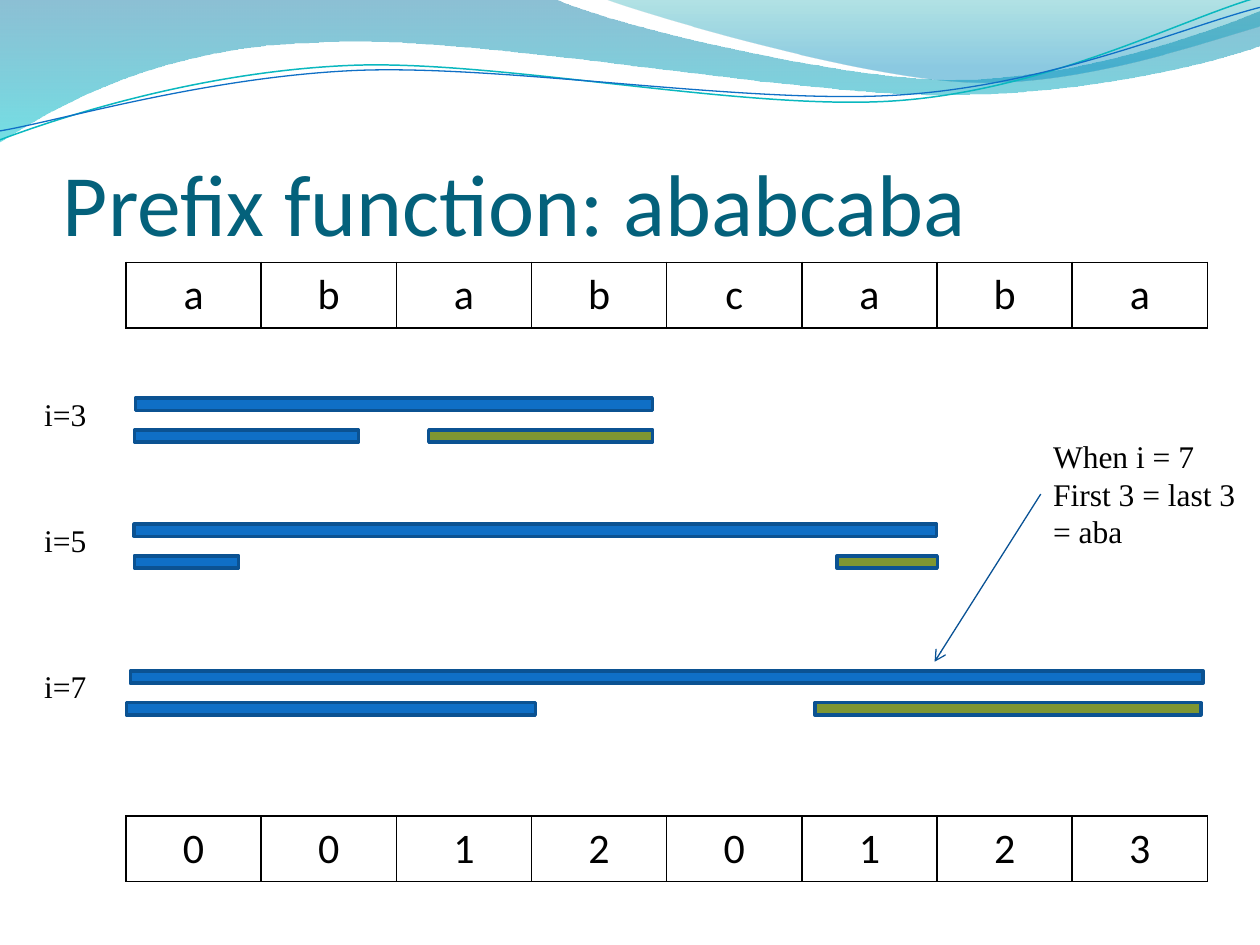
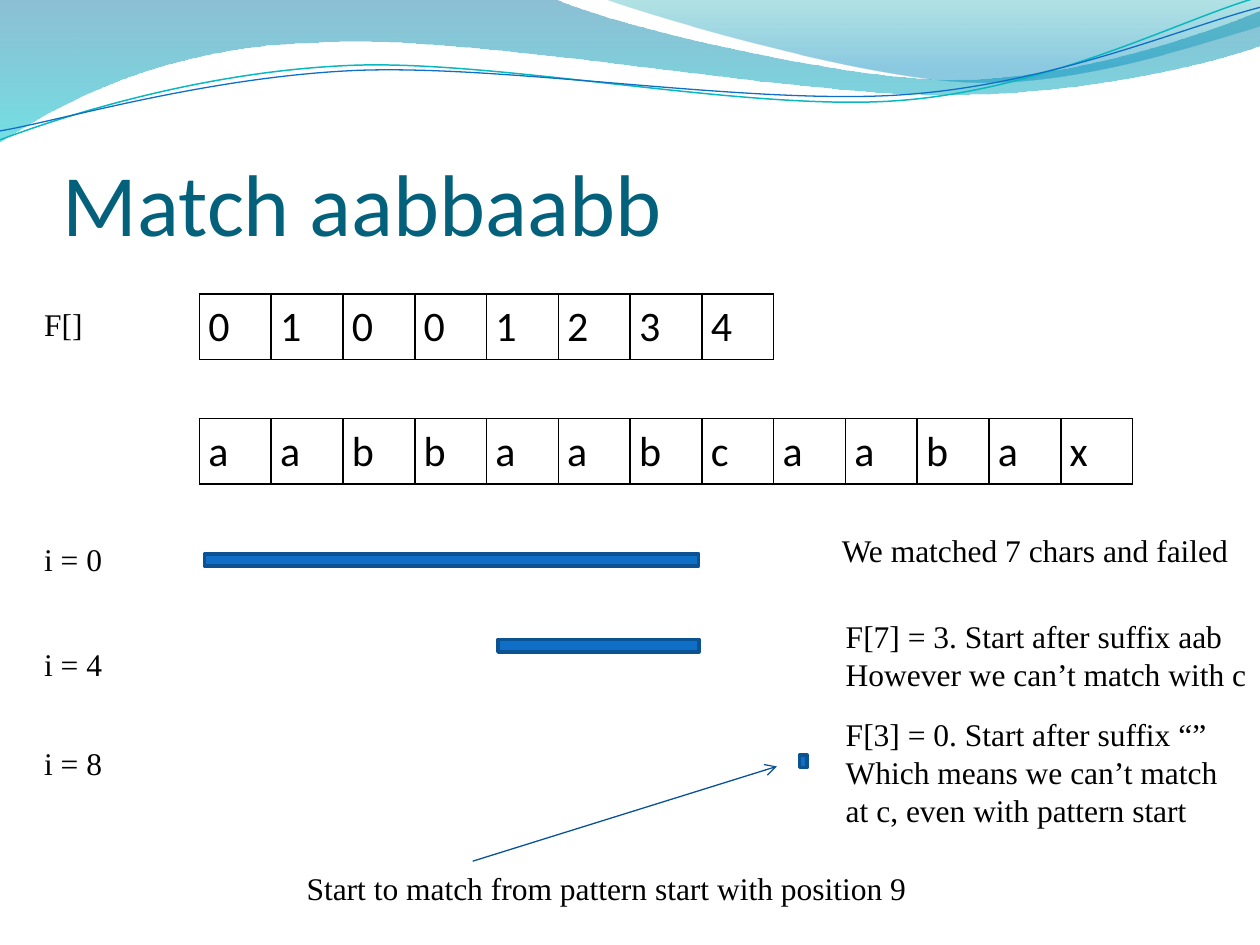
from lxml import etree
from pptx import Presentation
from pptx.dml.color import RGBColor
from pptx.enum.shapes import MSO_CONNECTOR, MSO_SHAPE
from pptx.enum.text import MSO_ANCHOR, MSO_AUTO_SIZE, PP_ALIGN
from pptx.oxml.ns import qn
from pptx.util import Cm, Pt

STRAIGHT = MSO_CONNECTOR.STRAIGHT
MINUS = MSO_SHAPE.MATH_MINUS
TOP, BOTTOM = MSO_ANCHOR.TOP, MSO_ANCHOR.BOTTOM
GROW, FIXED = MSO_AUTO_SIZE.SHAPE_TO_FIT_TEXT, MSO_AUTO_SIZE.NONE
LEFT, CENTER = PP_ALIGN.LEFT, PP_ALIGN.CENTER
LEFT_SIDE = 1

COLORS = {
    "title": "04617B", "text": "000000", "bar": "0F6FC6", "suffix": "7E9632",
    "outline": "0B5292", "arrow": "095295", "teal": "0AB8BF",
    "deep": "0074A1", "aqua": "00C6CF", "sea": "00A1A9", "sky": "008BBF",
}
FONTS = {
    "title": {"name": "Calibri", "size": Pt(50)},
    "cell": {"name": "Calibri", "size": Pt(24)},
    "body": {"name": "Times New Roman", "size": Pt(18)},
}
TITLE_FRAME = {"word_wrap": True, "vertical_anchor": BOTTOM, "auto_size": FIXED,
               "margin_left": 0, "margin_right": 0, "margin_top": Cm(0.13), "margin_bottom": 0}
CELL_FRAME = {"margin_left": Cm(0.18), "margin_right": Cm(0.18), "margin_top": 0,
              "margin_bottom": 0, "vertical_anchor": TOP}

BANDS = [
    ([(0, 0), (11.18, -0.02),
      (12.09, 0.43, 16.87, 1.6, 19.25, 1.6), (21.67, 1.6, 24.33, 0.66, 25.4, 0.23),
      (25.43, 0.91),
      (24.97, 1.12, 22.1, 1.93, 18.95, 1.91), (15.8, 1.91, 9.7, 0.71, 6.53, 0.86),
      (3.28, 0.91, 1.17, 2.11, -0.02, 2.87)],
     [(0, "deep", 45), (1, "aqua", 55)]),
    ([(12.17, -0.02), (12.93, 0.28, 17.32, 1.57, 19.53, 1.65),
      (21.74, 1.75, 24.41, 0.81, 25.4, 0.53), (25.4, 0)],
     [(0, "sea", 30), (0.8, "sky", 45)]),
]
WAVES = [
    ([(0, 2.82), (1.22, 2.36, 4.01, 1.45, 7.04, 1.32),
      (10.03, 1.19, 15.06, 2.26, 18.11, 2.03), (21.16, 1.8, 23.83, 0.38, 25.35, -0.05)],
     "teal", 0.85),
    ([(0, 2.64), (1.19, 2.44, 4.17, 1.55, 7.19, 1.42),
      (10.24, 1.3, 15.16, 2.13, 18.21, 1.91), (21.23, 1.7, 23.9, 0.53, 25.4, 0.15)],
     "bar", 0.75),
]

LABEL_X, LINE_H, BAR_H, ROW_H = 0.64, 1.02, 1.06, 1.32
LABEL_DROP, PARTS_DROP = 0.21, 0.64

PREFIX = {
    "title": "Prefix function: ababcaba",
    "tables": [("00120123", 16.45), ("ababcaba", 5.29)],
    "steps": [
        ("i=3", 7.62, (0.85, 14.18), (1.9, 6.14), (7.83, 6.14)),
        ("i=5", 10.16, (-0.21, 22.01), (2.33, 2.86), (16.51, 2.75)),
        ("i=7", 13.12, (-1.27, 29.42), (1.06, 11.22), (15.03, 10.58)),
    ],
    "note": (20.98, 8.68, 5.05, 2.56, ["When i = 7", "First 3 = last 3", "= aba"]),
    "arrow": (20.98, 9.96, 18.84, 13.34),
}
MATCH = {
    "title": "Match aabbaabb",
    "tables": [("01001234", 5.93), ("aabbaabcaabax", 8.44)],
    "bars": [(2.33, 10.76, 13.55), (9.31, 12.49, 5.51), (16.09, 14.82, 0.21)],
    "labels": [("F[]", 6.02, 1.3), ("i = 0", 10.77, 1.75),
               ("i = 4", 12.88, 1.75), ("i = 8", 14.87, 1.75)],
    "notes": [
        (16.72, 10.59, 8.38, 1.02, ["We matched 7 chars and failed"]),
        (16.8, 12.32, 8.69, 1.8, ["F[7] = 3. Start after suffix aab",
                                  "However we can’t match with c"]),
        (16.8, 14.29, 8.08, 2.56, ["F[3] = 0. Start after suffix “”",
                                   "Which means we can’t match",
                                   "at c, even with pattern start"]),
        (5.93, 17.4, 12.73, 1.02, ["Start to match from pattern start with position 9"]),
    ],
    "arrow": (9.53, 17.36, 15.66, 15.45),
}


def rgb(name):
    return RGBColor.from_string(COLORS[name])


def fmt(obj, values):
    for key, value in values.items():
        setattr(obj, key, value)


def write(tf, lines, font, color="text", **para):
    for i, line in enumerate(lines):
        p = tf.paragraphs[0] if i == 0 else tf.add_paragraph()
        fmt(p, para)
        r = p.add_run()
        r.text = line
        fmt(r.font, FONTS[font])
        r.font.color.rgb = rgb(color)


def add_text(s, x, y, w, h, lines, wrap=False):
    sp = s.shapes.add_textbox(Cm(x), Cm(y), Cm(w), Cm(h))
    fmt(sp.text_frame, {"word_wrap": wrap, "auto_size": GROW})
    write(sp.text_frame, lines, "body")
    return sp


def add_outline(s, segments, close):
    ends = [(Cm(seg[-2]), Cm(seg[-1])) for seg in segments]
    builder = s.shapes.build_freeform(*ends[0])
    builder.add_line_segments(ends[1:], close=close)
    sp = builder.convert_to_shape()
    sp.shadow.inherit = False
    for step, seg in zip(list(sp.element.spPr.iter(qn("a:lnTo"))), segments[1:]):
        if len(seg) == 6:
            curve = etree.Element(qn("a:cubicBezTo"))
            for x, y in zip(seg[::2], seg[1::2]):
                etree.SubElement(curve, qn("a:pt"),
                                 x=str(Cm(x) - sp.left), y=str(Cm(y) - sp.top))
            step.getparent().replace(step, curve)
    return sp


def add_backdrop(s):
    for segments, stops in BANDS:
        sp = add_outline(s, segments, True)
        sp.line.fill.background()
        sp.fill.gradient()
        sp.fill.gradient_angle = 270
        for stop, (position, color, _) in zip(sp.fill.gradient_stops, stops):
            stop.position = position
            stop.color.rgb = rgb(color)
        for clr, (_, _, opacity) in zip(sp.element.spPr.iter(qn("a:srgbClr")), stops):
            etree.SubElement(clr, qn("a:alpha"), val=str(opacity * 1000))
    for segments, color, width in WAVES:
        sp = add_outline(s, segments, False)
        sp.fill.background()
        sp.line.color.rgb = rgb(color)
        sp.line.width = Pt(width)


def add_slide(prs, title):
    s = prs.slides.add_slide(prs.slide_layouts[6])
    add_backdrop(s)
    sp = s.shapes.add_textbox(Cm(1.27), Cm(1.96), Cm(22.86), Cm(3.17))
    fmt(sp.text_frame, TITLE_FRAME)
    write(sp.text_frame, [title], "title", "title")
    return s


def add_row(s, symbols, x, y, col_w, align):
    table = s.shapes.add_table(1, len(symbols), Cm(x), Cm(y),
                               Cm(col_w * len(symbols)), Cm(ROW_H)).table
    fmt(table, {"first_row": False, "horz_banding": False})
    for col, cell, symbol in zip(table.columns, table.rows[0].cells, symbols):
        col.width = Cm(col_w)
        fmt(cell, CELL_FRAME)
        write(cell.text_frame, [symbol], "cell", alignment=align, line_spacing=1.15)
        tcPr = cell._tc.get_or_add_tcPr()
        for side in ("lnL", "lnR", "lnT", "lnB"):
            ln = etree.SubElement(tcPr, qn("a:" + side), w=str(Pt(1)))
            fill = etree.SubElement(ln, qn("a:solidFill"))
            etree.SubElement(fill, qn("a:srgbClr"), val=COLORS["text"])
        cell.fill.background()


def add_bar(s, x, y, w, color="bar"):
    sp = s.shapes.add_shape(MINUS, Cm(x), Cm(y), Cm(w), Cm(BAR_H))
    sp.shadow.inherit = False
    sp.fill.solid()
    sp.fill.fore_color.rgb = rgb(color)
    sp.line.color.rgb = rgb("outline")
    sp.line.width = Pt(2)


def add_arrow(s, ends):
    cx = s.shapes.add_connector(STRAIGHT, *map(Cm, ends))
    cx.line.color.rgb = rgb("arrow")
    cx.line.width = Pt(0.75)
    ln = cx._element.spPr.find(qn("a:ln"))
    etree.SubElement(ln, qn("a:tailEnd"), type="arrow")
    etree.SubElement(cx._element.spPr, qn("a:effectLst"))
    return cx


def prefix_slide(prs):
    s = add_slide(prs, PREFIX["title"])
    for symbols, y in PREFIX["tables"]:
        add_row(s, symbols, 2.54, y, 21.8 / 8, CENTER)
    for label, y, whole, prefix, suffix in PREFIX["steps"]:
        for (x, w), drop, color in ((prefix, PARTS_DROP, "bar"),
                                    (suffix, PARTS_DROP, "suffix"), (whole, 0, "bar")):
            add_bar(s, x, y + drop, w, color)
        add_text(s, LABEL_X, y + LABEL_DROP, 1.37, LINE_H, [label])
    note = add_text(s, *PREFIX["note"], wrap=True)
    add_arrow(s, PREFIX["arrow"]).begin_connect(note, LEFT_SIDE)


def match_slide(prs):
    s = add_slide(prs, MATCH["title"])
    for symbols, y in MATCH["tables"]:
        add_row(s, symbols, 4.02, y, 18.82 / 13, LEFT)
    for bar in MATCH["bars"]:
        add_bar(s, *bar)
    for label, y, w in MATCH["labels"]:
        add_text(s, LABEL_X, y, w, LINE_H, [label])
    for note in MATCH["notes"]:
        add_text(s, *note)
    add_arrow(s, MATCH["arrow"])


def main():
    prs = Presentation()
    prs.slide_width, prs.slide_height = Cm(25.4), Cm(19.05)
    prefix_slide(prs)
    match_slide(prs)
    prs.save("out.pptx")


if __name__ == "__main__":
    main()
